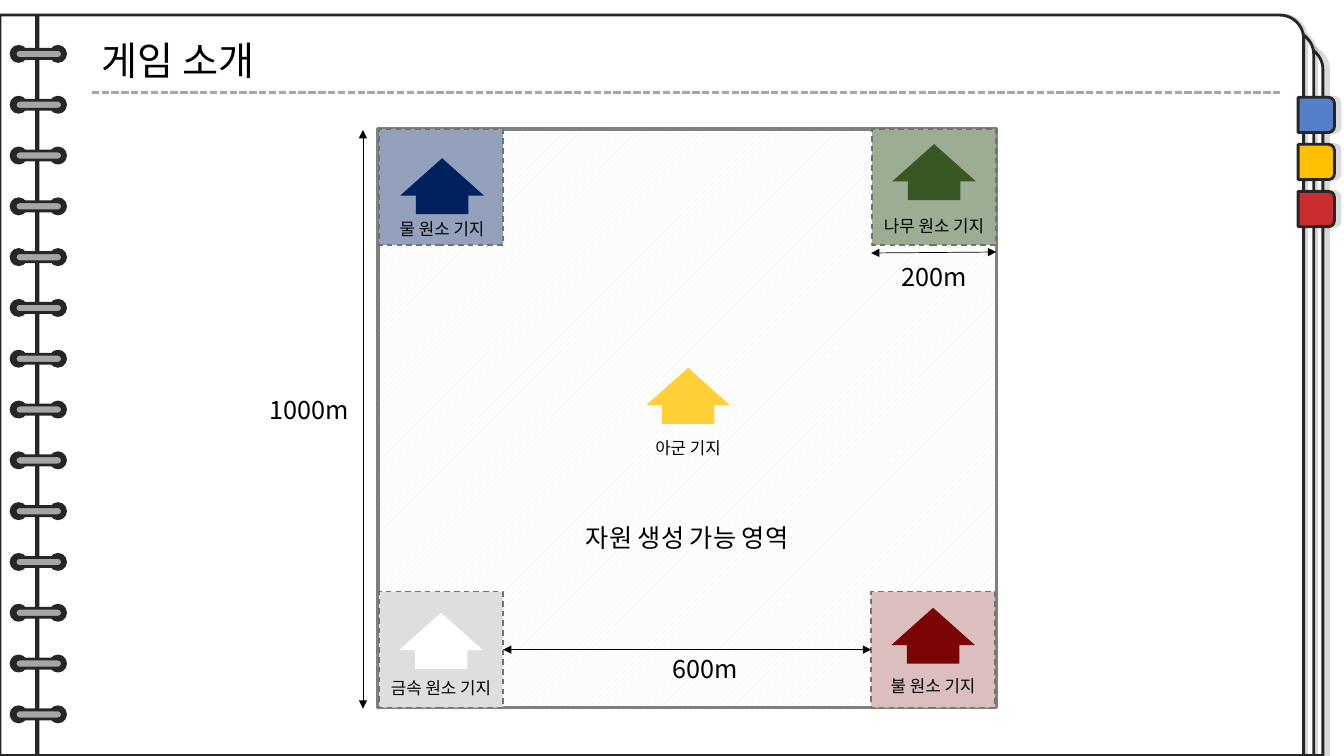
import pptx
import pptx.dml.color
import pptx.enum.dml
import pptx.enum.shapes
import pptx.enum.text
import pptx.oxml.ns
import pptx.util
import lxml.etree

SHAPE = pptx.enum.shapes.MSO_SHAPE
DASH = pptx.enum.dml.MSO_LINE
ALIGN = pptx.enum.text.PP_ALIGN
ANCHOR = pptx.enum.text.MSO_ANCHOR

COLUMNS, ROWS = 133.3, 75
COLORS = {
    "paper": "FFFFFF", "ink": "262626", "text": "000000", "ring": "A6A6A6",
    "border": "808080", "hatch": "E7E6E6", "tile_edge": "767171",
    "blue_tab": "567FCA", "yellow_tab": "FFC000", "red_tab": "C92D2D",
    "wood_tile": "9DAD93", "wood": "385723",
    "fire_tile": "DCBEBE", "fire": "790505",
    "metal_tile": "DEDEDE", "metal": "FFFFFF",
    "water_tile": "94A1BC", "water": "002060",
    "ally": "FFCF37",
}


def color(name):
    return pptx.dml.color.RGBColor.from_string(COLORS[name])


def add_xml(parent, tag, **attributes):
    return lxml.etree.SubElement(parent, pptx.oxml.ns.qn(tag), attributes)


def write(frame, text, size=18, align=ALIGN.LEFT, font="Noto Sans CJK KR"):
    frame.word_wrap = True
    paragraph = frame.paragraphs[0]
    paragraph.alignment = align
    run = paragraph.add_run()
    run.text = text
    run.font.size = pptx.util.Pt(size)
    run.font.color.rgb = color("text")
    run.font.name = font
    add_xml(run.font._element, "a:ea", typeface=font)


class Notebook:
    def __init__(self, deck):
        self.column = deck.slide_width / COLUMNS
        self.row = deck.slide_height / ROWS
        self.slide = deck.slides.add_slide(deck.slide_layouts[6])
        self.canvas = self.slide.shapes

    def start_group(self):
        self.canvas = self.slide.shapes.add_group_shape().shapes

    def end_group(self):
        self.canvas = self.slide.shapes

    def place(self, left, top, width, height):
        return (round(left * self.column), round(top * self.row),
                round(width * self.column), round(height * self.row))

    def shape(self, kind, box, fill, line=None, weight=2, dash=None, shadow=0, round_by=None):
        item = self.canvas.add_shape(kind, *self.place(*box))
        item.fill.solid()
        item.fill.fore_color.rgb = color(fill)
        if line:
            item.line.color.rgb = color(line)
            item.line.width = pptx.util.Pt(weight)
            if dash:
                item.line.dash_style = dash
        else:
            item.line.fill.background()
        if round_by is not None:
            item.adjustments[0] = round_by
        item.shadow.inherit = False
        if shadow:
            effects = item._element.spPr.find(pptx.oxml.ns.qn("a:effectLst"))
            outer = add_xml(effects, "a:outerShdw", blurRad="0", dist=str(pptx.util.Pt(shadow)),
                            dir="0", algn="l", rotWithShape="0")
            shade = add_xml(outer, "a:srgbClr", val=COLORS["text"])
            add_xml(shade, "a:alpha", val="15000")
        return item

    def line(self, start, end, stroke="text", weight=0.5, dash=None, arrows=True):
        item = self.canvas.add_connector(pptx.enum.shapes.MSO_CONNECTOR.STRAIGHT,
                                         *self.place(*start, *end))
        item.line.color.rgb = color(stroke)
        item.line.width = pptx.util.Pt(weight)
        if dash:
            item.line.dash_style = dash
        if arrows:
            outline = item.line._get_or_add_ln()
            add_xml(outline, "a:headEnd", type="triangle")
            add_xml(outline, "a:tailEnd", type="triangle")
        add_xml(item._element.spPr, "a:effectLst")
        return item

    def label(self, text, box, **style):
        frame = self.canvas.add_textbox(*self.place(*box)).text_frame
        write(frame, text, **style)
        frame.auto_size = pptx.enum.text.MSO_AUTO_SIZE.SHAPE_TO_FIT_TEXT

    def ring(self, top):
        for left in (1.1, 5):
            self.shape(SHAPE.OVAL, (left, top, 1.5, 1.5), "ink", "ink")
        self.shape(SHAPE.ROUNDED_RECTANGLE, (1.5, top + 0.3, 4.7, 0.9), "ring", "ink", round_by=0.5)

    def binder(self):
        self.start_group()
        for right, top, shadow in ((131.2, 4.6, 4), (130.3, 3.1, 2), (129.3, 1.5, 2)):
            self.shape(SHAPE.ROUND_1_RECTANGLE, (0, top, right, 74.95 - top), "paper", "ink",
                       shadow=shadow, round_by=0.032)
        self.shape(SHAPE.RECTANGLE, (3.5, 1.5, 0.4, 73.4), "ink")
        for index in range(14):
            self.ring(4.6 + 5.04 * index)
        self.line((9.1, 9.2), (127.2, 9.2), "ring", 1.75, DASH.SQUARE_DOT, arrows=False)
        self.end_group()
        for index, tab in enumerate(("blue_tab", "yellow_tab", "red_tab")):
            divider = self.shape(SHAPE.ROUND_2_SAME_RECTANGLE, (128.8, 9.6 + 4.67 * index, 3.5, 3.6),
                                 tab, "ink", shadow=4)
            divider.rotation = 90

    def arena(self, text):
        field = self.shape(SHAPE.RECTANGLE, (37.5, 12.8, 61.3, 57.4), "paper", "border", 2.25)
        field.fill.patterned()
        field.fill.pattern = pptx.enum.dml.MSO_PATTERN.WIDE_UPWARD_DIAGONAL
        field.fill.fore_color.rgb = color("hatch")
        field.fill.back_color.rgb = color("paper")
        frame = field.text_frame
        frame.vertical_anchor = ANCHOR.MIDDLE
        frame.margin_top = round(24.1 * self.row)
        write(frame, text, align=ALIGN.CENTER)

    def base(self, text, element, roof, label_top, label_width, tile=None):
        left, top = roof
        self.start_group()
        ground = tile and self.shape(SHAPE.RECTANGLE, (*tile, 12.3, 11.5), element + "_tile",
                                     "tile_edge", 1, DASH.DASH)
        self.shape(SHAPE.RECTANGLE, (left + 1.55, top + 2.75, 5.2, 2.8), element)
        self.shape(SHAPE.ISOSCELES_TRIANGLE, (left, top, 8.3, 3.7), element)
        self.label(text, (left + (8.3 - label_width) / 2, label_top, label_width, 3),
                   size=12, align=ALIGN.CENTER)
        self.end_group()
        return ground


def main():
    deck = pptx.Presentation()
    deck.slide_width = pptx.util.Inches(13.33)
    deck.slide_height = pptx.util.Inches(7.5)
    page = Notebook(deck)
    page.binder()
    page.label("게임 소개", (9.1, 3.1, 25.4, 5.7), size=28)
    page.arena("자원 생성 가능 영역")

    page.base("나무 원소 기지", "wood", (88.5, 14.3), 20.9, 13.3, (86.5, 12.8))
    fire = page.base("불 원소 기지", "fire", (88.4, 60.3), 66.5, 11.2, (86.4, 58.7))
    metal = page.base("금속 원소 기지", "metal", (39.6, 60.8), 66.7, 13.6, (37.6, 58.7))
    page.base("물 원소 기지", "water", (39.7, 15.7), 21.2, 11.2, (37.6, 12.8))
    page.base("아군 기지", "ally", (64.1, 36.5), 42.9, 13.3)

    gap = page.line((50, 64.5), (86.3, 64.5))
    gap.begin_connect(metal, 3)
    gap.end_connect(fire, 1)
    page.line((36, 12.9), (36, 70.3))
    page.line((86.4, 25.1), (98.8, 25))
    page.label("1000m", (24, 38.6, 11.6, 4), align=ALIGN.RIGHT)
    page.label("600m", (65.7, 64.3, 11.6, 4))
    page.label("200m", (88.4, 25.4, 11.6, 4))
    deck.save("out.pptx")


if __name__ == "__main__":
    main()
